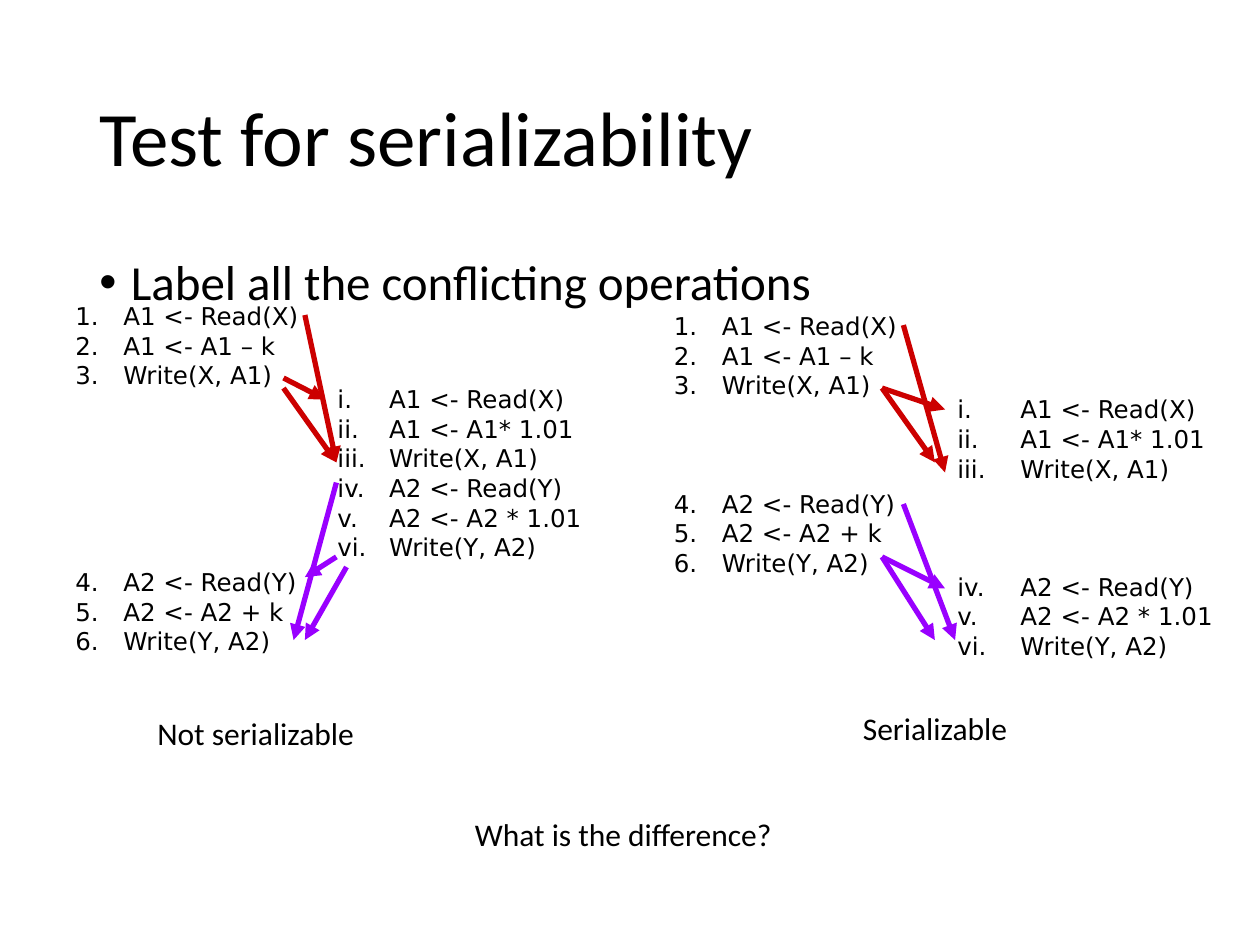
"""Build the slide that compares two schedules in a test for serializability."""
from lxml.etree import SubElement as Sub
from pptx import Presentation
from pptx.dml.color import RGBColor
from pptx.enum.shapes import MSO_CONNECTOR as CONN
from pptx.enum.text import MSO_ANCHOR as ANCHOR
from pptx.oxml.ns import qn
from pptx.util import Inches, Pt


def rgb(value):
    return RGBColor.from_string(value)


def add_text(box, lines, font, para=None, frame=None, bullet=None, gap=None):
    tf = s.shapes.add_textbox(*map(Inches, box)).text_frame
    for name, value in {"word_wrap": True, **(frame or {})}.items():
        setattr(tf, name, value)
    for i, line in enumerate(lines):
        p = tf.paragraphs[0] if i == 0 else tf.add_paragraph()
        r = p.add_run()
        r.text = line
        for name, value in font.items():
            setattr(r.font, name, value)
        r.font.color.rgb = rgb("000000")
        for name, value in (para or {}).items():
            setattr(p, name, value)
        if gap and i == gap[0]:
            p.space_before = gap[1] * PITCH
        if bullet:
            tag, key, mark, left, hang = bullet
            pPr = p._p.get_or_add_pPr()
            pPr.set("marL", str(Inches(left)))
            pPr.set("indent", str(-Inches(hang)))
            if tag == "a:buChar":
                Sub(pPr, qn("a:buFont"), typeface="Arial")
            else:
                Sub(pPr, qn("a:buFont"), typeface="+mj-lt")
            Sub(pPr, qn(tag), {key: mark})


PITCH = Pt(16.9)
RED, PURPLE = "CC0000", "9900FF"
TITLE = {"name": "Calibri", "size": Pt(44)}
BODY = {"name": "Calibri", "size": Pt(28)}
LABEL = {"name": "Calibri", "size": Pt(18)}
CODE = {"name": "DejaVu Sans", "size": Pt(14)}

prs = Presentation()
prs.slide_width, prs.slide_height = Inches(10), Inches(7.5)
s = prs.slides.add_slide(prs.slide_layouts[6])

add_text((0.69, 0.4, 8.62, 1.45), ["Test for serializability"], TITLE,
         {"line_spacing": 0.9}, {"vertical_anchor": ANCHOR.MIDDLE})
add_text((0.69, 2, 8.62, 4.76), ["Label all the conflicting operations"], BODY,
         {"line_spacing": 0.9, "space_before": Pt(10)},
         bullet=("a:buChar", "char", "•", 0.25, 0.25))

transfer = ["A1 <- Read(X)", "A1 <- A1 – k", "Write(X, A1)",
            "A2 <- Read(Y)", "A2 <- A2 + k", "Write(Y, A2)"]
interest = ["A1 <- Read(X)", "A1 <- A1* 1.01", "Write(X, A1)",
            "A2 <- Read(Y)", "A2 <- A2 * 1.01", "Write(Y, A2)"]
schedules = [
    (4.75, 2.42, 2.43, transfer, "arabicPeriod", 0.88, 0.38, 3),
    (7, 3.08, 2.43, interest, "romanLcPeriod", 1, 0.5, 3),
    (0, 2.34, 3.12, transfer, "arabicPeriod", 0.88, 0.38, 6),
    (2.08, 3, 1.73, interest, "romanLcPeriod", 0.91, 0.41, 0),
]
for x, y, h, steps, numbering, left, hang, skipped in schedules:
    add_text((x, y, 3.58, h), steps, CODE, {"line_spacing": PITCH},
             bullet=("a:buAutoNum", "type", numbering, left, hang),
             gap=(3, skipped))

for x, y, w, label in [(1.15, 5.62, 2.13, "Not serializable"),
                       (6.75, 5.58, 1.64, "Serializable"),
                       (3.67, 6.42, 3.11, "What is the difference?")]:
    add_text((x, y, w, 0.4), [label], LABEL, frame={"word_wrap": False})

conflicts = {
    RED: [(2.25, 3, 2.58, 3.17), (2.42, 2.5, 2.67, 3.67),
          (2.25, 3.08, 2.67, 3.67), (7.17, 2.58, 7.5, 3.75),
          (7, 3.08, 7.5, 3.25), (7, 3.08, 7.42, 3.67)],
    PURPLE: [(2.67, 3.83, 2.33, 5.08), (2.67, 4.42, 2.42, 4.58),
             (2.75, 4.5, 2.42, 5.08), (7.17, 4, 7.58, 5.08),
             (7, 4.42, 7.5, 4.67), (7, 4.42, 7.42, 5.08)],
}
for color, arrows in conflicts.items():
    for ends in arrows:
        c = s.shapes.add_connector(CONN.STRAIGHT, *map(Inches, ends))
        c.line.color.rgb = rgb(color)
        c.line.width = Pt(3)
        Sub(c.line._get_or_add_ln(), qn("a:tailEnd"), type="triangle")
        Sub(c._element.spPr, qn("a:effectLst"))

prs.save("out.pptx")
